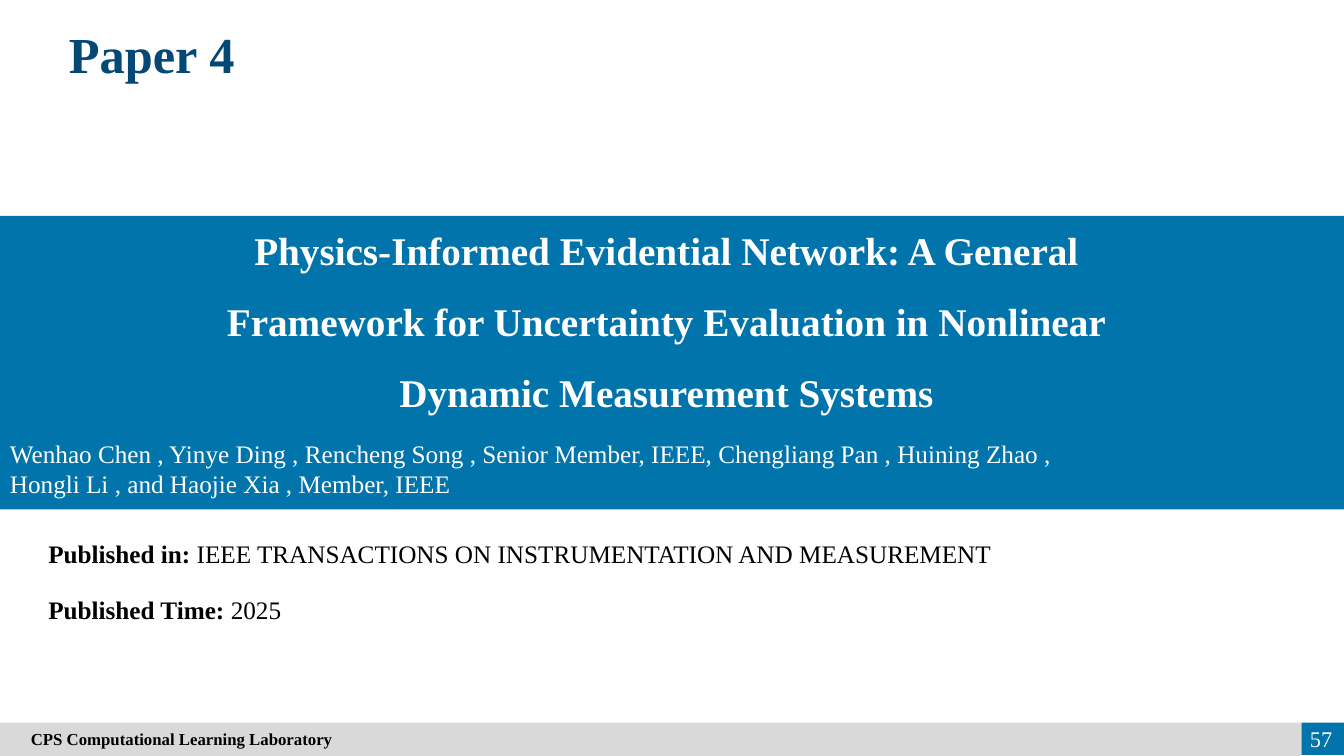
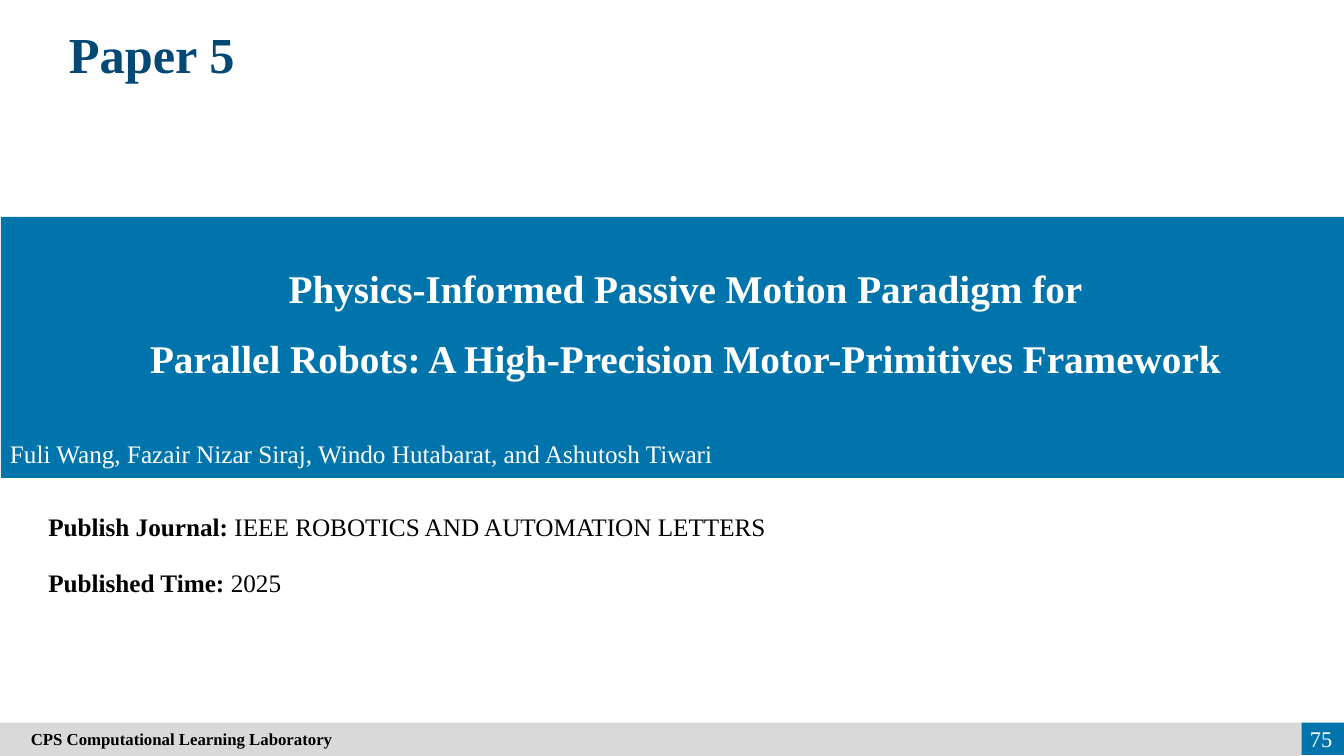
from pptx import Presentation
from pptx.dml.color import RGBColor
from pptx.enum import shapes, text
from pptx.util import Pt

BLUE = RGBColor(0x01, 0x74, 0xAB)
NAVY = RGBColor(0x04, 0x48, 0x75)
GREY = RGBColor(0xD9, 0xD9, 0xD9)
WHITE = RGBColor(0xFF, 0xFF, 0xFF)
BLACK = RGBColor(0, 0, 0)
FONT = "Times New Roman"
LEFT, MID, RIGHT = text.PP_ALIGN.LEFT, text.PP_ALIGN.CENTER, text.PP_ALIGN.RIGHT
TOP, CENTRE = text.MSO_ANCHOR.TOP, text.MSO_ANCHOR.MIDDLE
WIDE, HIGH = 960, 540
FOOT = 516.2
FACT_GAP = 40

PAPERS = [
    {
        "title": "Paper 4",
        "page": "57",
        "band": (0, 154.2, WIDE, 209.7),
        "head": (25.2, 144, 901.5, 153.4),
        "name": ["Physics-Informed Evidential Network: A General",
                 "Framework for Uncertainty Evaluation in Nonlinear",
                 "Dynamic Measurement Systems"],
        "authors": ["Wenhao Chen , Yinye Ding , Rencheng Song , Senior Member, IEEE, "
                    "Chengliang Pan , Huining Zhao ,",
                    "Hongli Li , and Haojie Xia , Member, IEEE"],
        "facts": [("Published in: ",
                   "IEEE TRANSACTIONS ON INSTRUMENTATION AND MEASUREMENT"),
                  ("Published Time: ", "2025")],
        "facts_top": 381,
    },
    {
        "title": "Paper 5",
        "page": "75",
        "band": (0.7, 154.9, WIDE - 0.7, 186.4),
        "head": (58.3, 170.6, 862.6, 103),
        "name": ["Physics-Informed Passive Motion Paradigm for",
                 "Parallel Robots: A High-Precision Motor-Primitives Framework"],
        "authors": ["Fuli Wang, Fazair Nizar Siraj, Windo Hutabarat, and Ashutosh Tiwari"],
        "facts": [("Publish Journal: ", "IEEE ROBOTICS AND AUTOMATION LETTERS"),
                  ("Published Time: ", "2025")],
        "facts_top": 362,
    },
]


def write(shape, lines, size=18, color=BLACK, bold=False, align=LEFT,
          anchor=TOP, spacing=1.0, inset=7.2):
    """Fill a shape with lines; a (label, value) line has a bold label."""
    frame = shape.text_frame
    frame.word_wrap = True
    frame.auto_size = text.MSO_AUTO_SIZE.NONE
    frame.vertical_anchor = anchor
    frame.margin_left = Pt(inset)
    frame.margin_right = Pt(7.2)
    frame.margin_top = frame.margin_bottom = Pt(3.6)
    for i, line in enumerate(lines):
        para = frame.paragraphs[0] if i == 0 else frame.add_paragraph()
        para.alignment = align
        para.line_spacing = spacing
        para.space_before = Pt(0)
        runs = [(line, bold)] if isinstance(line, str) else zip(line, (True, False))
        for words, heavy in runs:
            run = para.add_run()
            run.text = words
            font = run.font
            font.name, font.size, font.bold = FONT, Pt(size), heavy
            font.color.rgb = color


def add_text(slide, box, lines, **style):
    write(slide.shapes.add_textbox(*map(Pt, box)), lines, **style)


def add_band(slide, box, fill):
    band = slide.shapes.add_shape(shapes.MSO_SHAPE.RECTANGLE, *map(Pt, box))
    band.shadow.inherit = False
    band.fill.solid()
    band.fill.fore_color.rgb = fill
    band.line.fill.background()
    return band


def add_title(slide, words):
    title = slide.shapes.title
    title.left, title.top, title.width, title.height = map(Pt, (27.4, 13, 162, 51))
    write(title, [words], size=36, color=NAVY, bold=True, align=MID)


def add_footer(slide, page):
    split = 929.5
    add_band(slide, (split, FOOT, WIDE - split, 23), BLUE)
    bar = add_band(slide, (0, FOOT, split, HIGH - FOOT), GREY)
    write(bar, ["CPS Computational Learning Laboratory"], size=12, bold=True,
          anchor=CENTRE, inset=22)
    add_text(slide, (913.3, 513.4, 45.4, 28.8), [page], size=16, color=WHITE,
             align=RIGHT, anchor=CENTRE)


def add_paper(deck, paper):
    slide = deck.slides.add_slide(deck.slide_layouts[5])
    add_title(slide, paper["title"])
    add_band(slide, paper["band"], BLUE)
    add_text(slide, paper["head"], paper["name"], size=28, color=WHITE, bold=True,
             align=MID, anchor=CENTRE, spacing=1.5)
    add_text(slide, (0, 309.6, WIDE, 51), paper["authors"], color=WHITE)
    for i, fact in enumerate(paper["facts"]):
        add_text(slide, (27.4, paper["facts_top"] + i * FACT_GAP, 917, 29), [fact])
    add_footer(slide, paper["page"])


def main():
    deck = Presentation()
    deck.slide_width, deck.slide_height = Pt(WIDE), Pt(HIGH)
    for paper in PAPERS:
        add_paper(deck, paper)
    deck.save("out.pptx")


if __name__ == "__main__":
    main()
